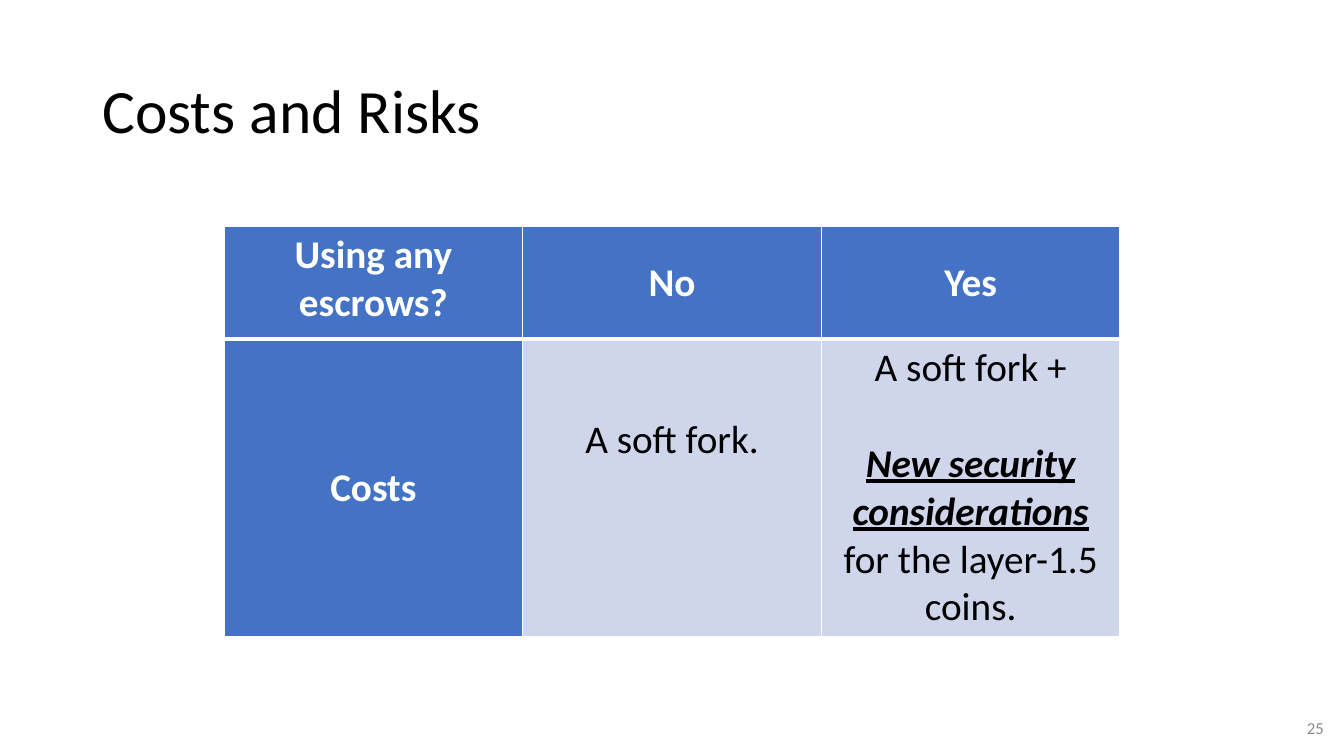
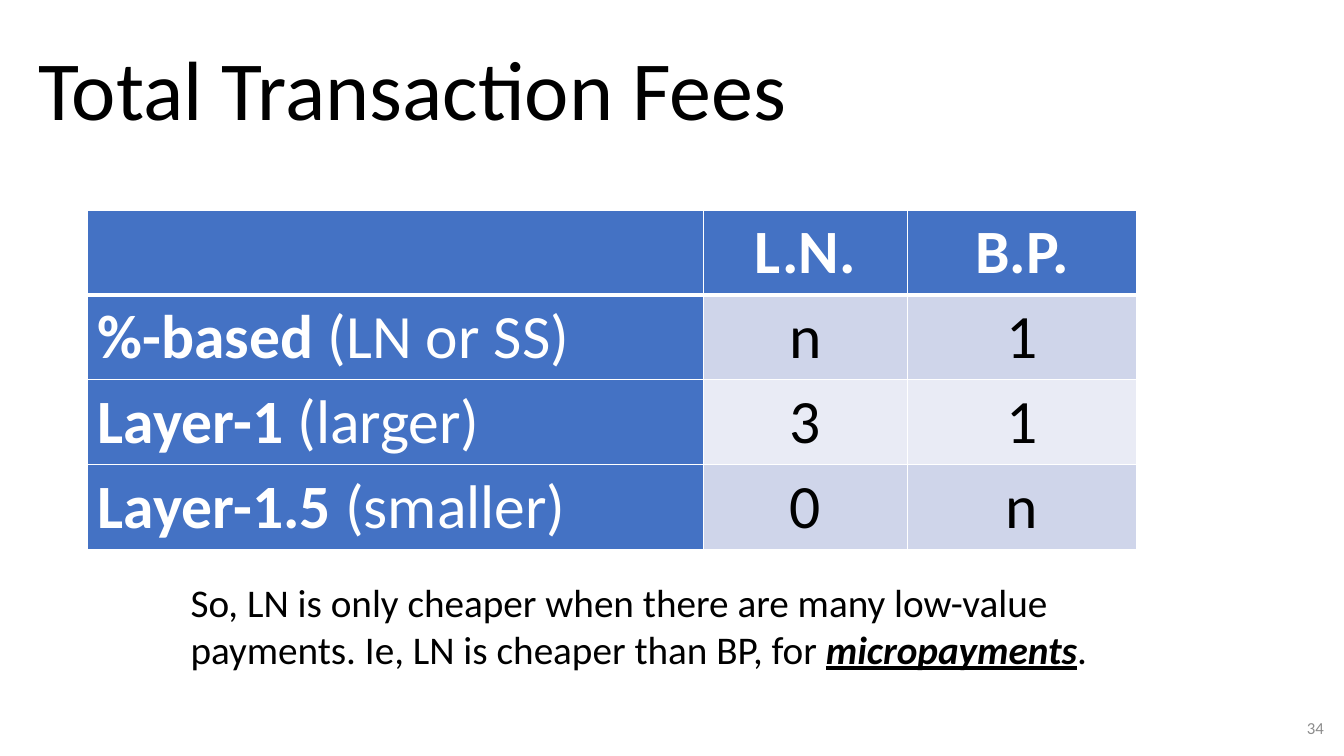
from lxml import etree
from pptx import Presentation
from pptx.dml.color import RGBColor
from pptx.enum.text import MSO_ANCHOR, PP_ALIGN
from pptx.oxml.ns import qn
from pptx.util import Emu, Pt

TOP, MIDDLE = MSO_ANCHOR.TOP, MSO_ANCHOR.MIDDLE
LEFT, CENTER, RIGHT = PP_ALIGN.LEFT, PP_ALIGN.CENTER, PP_ALIGN.RIGHT

COLUMNS, ROWS, UNIT = 160, 90, 76200
FONT = "Calibri"
COLORS = {
    "ink": "000000",
    "paper": "FFFFFF",
    "heading": "4472C4",
    "odd": "CFD5EA",
    "even": "E9EBF5",
    "number": "8C8C8C",
}
BOLD = {"bold": True}
STRESS = {"bold": True, "italic": True, "underline": True}
THIN, THICK = 1, 3


def grid(*units):
    return [Emu(round(unit * UNIT)) for unit in units]


def write(frame, content, size=28, color="ink", align=LEFT, anchor=TOP,
          spacing=None, gap=0, **style):
    frame.word_wrap = True
    frame.vertical_anchor = anchor
    paragraphs = [[(content, {})]] if isinstance(content, str) else content
    for index, pieces in enumerate(paragraphs):
        paragraph = frame.add_paragraph() if index else frame.paragraphs[0]
        paragraph.alignment = align
        if spacing:
            paragraph.line_spacing = spacing
        if index and gap:
            paragraph.space_before = Pt(gap)
        for words, emphasis in pieces:
            run = paragraph.add_run()
            run.text = words
            run.font.name = FONT
            run.font.size = Pt(size)
            run.font.color.rgb = RGBColor.from_string(COLORS[color])
            for key, value in {**style, **emphasis}.items():
                setattr(run.font, key, value)


def add_text(slide, place, content, **style):
    box = slide.shapes.add_textbox(*grid(*place))
    write(box.text_frame, content, **style)


def add_title(slide, place, title, size):
    add_text(slide, place, title, size=size, anchor=MIDDLE, spacing=0.9)


def add_number(slide, number):
    add_text(slide, (122.8, 84.2, 36, 4.8), number, size=12, color="number",
             align=RIGHT, anchor=MIDDLE)


def set_borders(cell, row):
    widths = {
        "a:lnL": THIN,
        "a:lnR": THIN,
        "a:lnT": THICK if row == 1 else THIN,
        "a:lnB": THICK if row == 0 else THIN,
    }
    properties = cell._tc.get_or_add_tcPr()
    for position, (tag, width) in enumerate(widths.items()):
        line = etree.Element(qn(tag), w=str(Pt(width)))
        fill = etree.SubElement(line, qn("a:solidFill"))
        etree.SubElement(fill, qn("a:srgbClr"), val=COLORS["paper"])
        properties.insert(position, line)


def add_grid_table(slide, left, top, widths, heights, contents, size,
                   label_align, gap=0):
    place = grid(left, top, sum(widths), sum(heights))
    table = slide.shapes.add_table(len(heights), len(widths), *place).table
    for column, width in zip(table.columns, grid(*widths)):
        column.width = width
    for row, height in zip(table.rows, grid(*heights)):
        row.height = height
    for r, line in enumerate(contents):
        for c, content in enumerate(line):
            cell = table.cell(r, c)
            heading = r == 0 or c == 0
            fill = "heading" if heading else "odd" if r % 2 else "even"
            cell.fill.solid()
            cell.fill.fore_color.rgb = RGBColor.from_string(COLORS[fill])
            set_borders(cell, r)
            cell.vertical_anchor = MIDDLE
            if content:
                write(cell.text_frame, content, size=size, gap=gap,
                      color="paper" if heading else "ink",
                      align=label_align if c == 0 else CENTER,
                      anchor=MIDDLE, bold=heading)
    return table


def build_costs(slide):
    add_title(slide, (11, 4.8, 138, 17.4), "Costs and Risks", 44)
    escrow_costs = [
        [("A soft fork +", {})],
        [("New security considerations ", STRESS),
         ("for the layer-1.5 coins.", {})],
    ]
    costs = add_grid_table(
        slide, 26.67, 26.9, [35.56] * 3, [13.5, 35.4],
        [["Using any escrows?", "No", "Yes"],
         ["Costs", "A soft fork.", escrow_costs]],
        size=28, label_align=CENTER, gap=34)
    costs.cell(0, 0).vertical_anchor = TOP
    costs.cell(1, 1).margin_bottom = grid(12)[0]
    add_number(slide, "25")


def build_fees(slide):
    add_title(slide, (3.4, 0, 100.4, 22.3), "Total Transaction Fees", 60)
    fees = [
        ("%-based", " (LN or SS)", "n", "1"),
        ("Layer-1", " (larger)", "3", "1"),
        ("Layer-1.5", " (smaller)", "0", "n"),
    ]
    contents = [["", "L.N.", "B.P."]] + [
        [[[(kind, BOLD), (remark, {"bold": False})]], *counts]
        for kind, remark, *counts in fees
    ]
    add_grid_table(slide, 10.44, 25, [73.3, 24.3, 27.3],
                   [10.1] * len(contents), contents,
                   size=44, label_align=LEFT)
    add_text(slide, (21.5, 68.2, 110.8, 12.5), [[
        ("So, LN is only cheaper when there are many low-value payments. "
         "Ie, LN is cheaper than BP, for ", {}),
        ("micropayments", STRESS),
        (".", {}),
    ]])
    add_number(slide, "34")


def main():
    deck = Presentation()
    deck.slide_width, deck.slide_height = grid(COLUMNS, ROWS)
    blank = deck.slide_layouts[6]
    for build in (build_costs, build_fees):
        build(deck.slides.add_slide(blank))
    deck.save("out.pptx")


if __name__ == "__main__":
    main()
